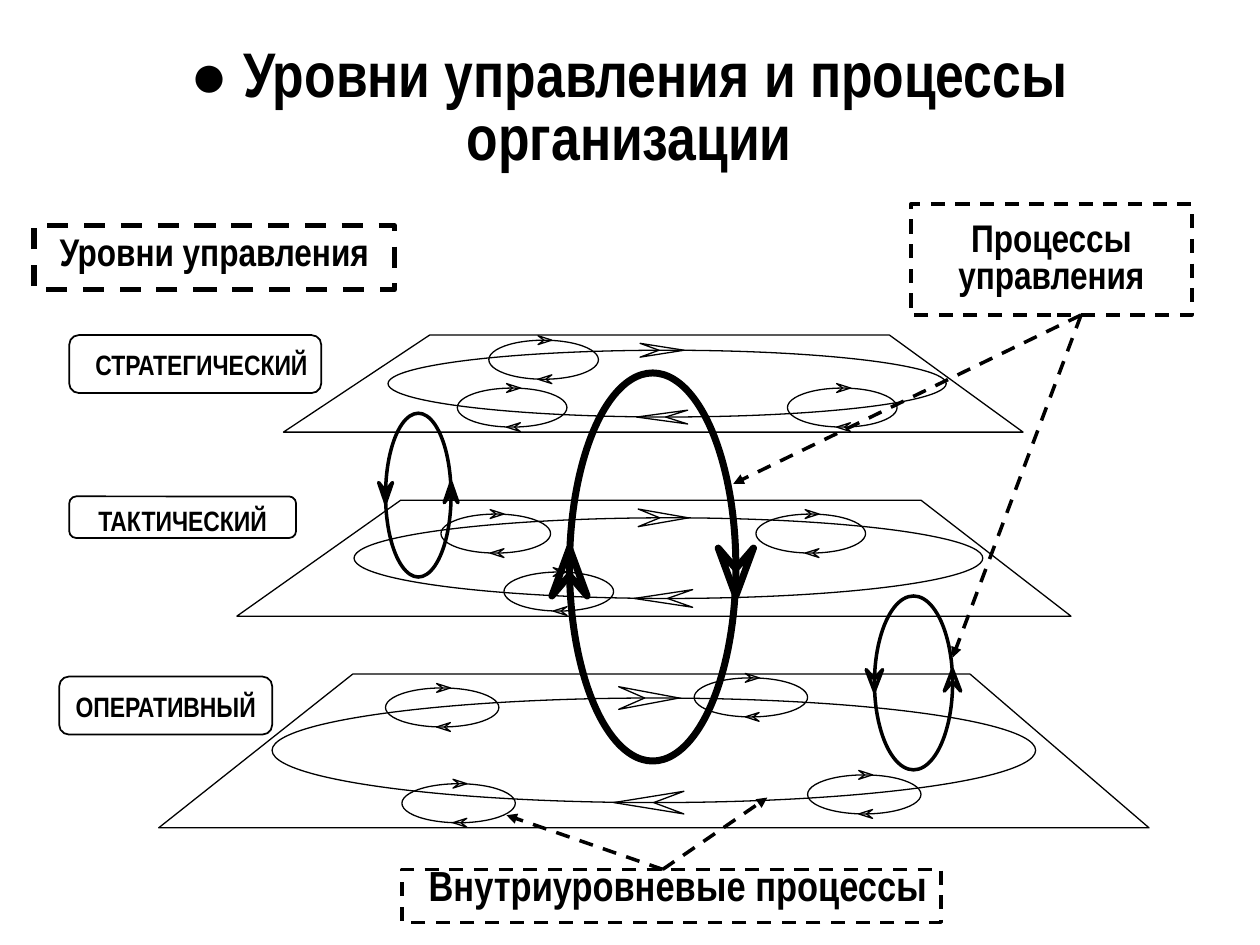
from dataclasses import dataclass
from typing import Optional

from lxml import etree
from pptx import Presentation
from pptx.dml.color import RGBColor
from pptx.enum.dml import MSO_LINE
from pptx.enum.shapes import MSO_CONNECTOR, MSO_SHAPE
from pptx.enum.text import MSO_ANCHOR, PP_ALIGN
from pptx.oxml.ns import qn
from pptx.util import Cm, Pt

BLACK = RGBColor(0, 0, 0)
WHITE = RGBColor(255, 255, 255)
RECT, ROUND, OVAL = MSO_SHAPE.RECTANGLE, MSO_SHAPE.ROUNDED_RECTANGLE, MSO_SHAPE.OVAL
TOP, MIDDLE = MSO_ANCHOR.TOP, MSO_ANCHOR.MIDDLE
CENTER = PP_ALIGN.CENTER
DASH = MSO_LINE.DASH
STRAIGHT = MSO_CONNECTOR.STRAIGHT
THIN = 0.75


def inch(value: float) -> Cm:
    return Cm(value * 2.54)


@dataclass
class Label:
    text: str
    at: tuple
    size: int
    gap: object  # line spacing: a share or points
    kind: Optional[int] = ROUND
    weight: float = 1
    hang: float = 0.5
    indent: float = -0.5
    anchor: int = MIDDLE
    inset: tuple = (0.03, 0.03)


@dataclass
class Ring:
    """An ellipse with two arrowheads of the given length and width."""
    at: tuple
    length: float
    width: float
    weight: float = THIN
    shift: float = 0.0  # from the ellipse centre, along the heads
    stretch: float = 1.0  # second head relative to the first
    turn: int = 0  # 0: heads at top and bottom; 1 or -1: at the sides


@dataclass
class Level:
    plane: list
    ring: Ring
    small: tuple  # width and height of the small rings
    spots: list


LABELS = [
    Label("● Уровни управления и процессы организации", (0.27, 0.28, 9.45, 1.18),
          36, Pt(36), None, hang=0, indent=0, inset=(0.1, 0.05)),
    Label("Уровни управления", (0.27, 1.79, 2.86, 0.51), 22, 0.65, RECT, 3,
          inset=(0.1, 0.05)),
    Label("Процессы управления", (7.23, 1.62, 2.23, 0.88), 22, 0.8, RECT, 2,
          hang=0, indent=0),
    Label("СТРАТЕГИЧЕСКИЙ", (0.55, 2.66, 2, 0.46), 16, 1.04, indent=-0.4),
    Label("ТАКТИЧЕСКИЙ", (0.55, 3.94, 1.8, 0.33), 16, 1.04, anchor=TOP),
    Label("ОПЕРАТИВНЫЙ", (0.47, 5.37, 1.69, 0.46), 16, 1.04),
    Label("Внутриуровневые процессы", (3.19, 6.9, 4.28, 0.42), 24, 0.7, RECT, 2,
          indent=-0.4, anchor=TOP),
]

LEVELS = [
    Level([(1.26, 6.57), (9.12, 6.57), (7.7, 5.35), (2.8, 5.35)],
          Ring((2.16, 5.54, 6.06, 0.83), 0.48, 0.18, shift=-0.04, stretch=1.16),
          (0.9, 0.31), [(3.19, 6.22), (3.06, 5.46), (5.51, 5.38), (6.41, 6.15)]),
    Level([(1.88, 4.89), (8.5, 4.89), (7.31, 3.97), (3.18, 3.97)],
          Ring((2.81, 4.11, 4.99, 0.64), 0.4, 0.14, shift=-0.04, stretch=1.16),
          (0.87, 0.31), [(3.5, 4.08), (4, 4.54), (6, 4.08)]),
    Level([(2.25, 3.43), (8.12, 3.43), (7.06, 2.66), (3.41, 2.66)],
          Ring((3.08, 2.78, 4.43, 0.53), 0.35, 0.11, shift=-0.04, stretch=1.16),
          (0.87, 0.31), [(3.88, 2.7), (6.25, 3.08), (3.63, 3.08)]),
]

LINKS = [
    Ring((6.94, 4.73, 0.62, 1.38), 0.17, 0.13, 2, -0.02, turn=1),
    Ring((3.06, 3.28, 0.52, 1.3), 0.16, 0.11, 2, -0.02, turn=1),
    Ring((4.52, 2.96, 1.32, 3.08), 0.38, 0.28, 4, 0.04, turn=-1),
]

PROCESS, INNER = (8.58, 2.5), (5.26, 6.9)
POINTERS = [(PROCESS, (5.82, 3.84)), (PROCESS, (7.56, 5.22)),
            (INNER, (4.02, 6.47)), (INNER, (6.09, 6.33))]


def ink(shape, weight: float) -> None:
    shape.shadow.inherit = False
    shape.fill.background()
    shape.line.color.rgb = BLACK
    shape.line.width = Pt(weight)


def outline(shapes, points: list, weight: float) -> None:
    spots = [(inch(x), inch(y)) for x, y in points]
    form = shapes.build_freeform(*spots[0])
    form.add_line_segments(spots[1:], close=True)
    ink(form.convert_to_shape(), weight)


def head(shapes, x: float, y: float, way: tuple, length: float, width: float,
         weight: float) -> None:
    """Draw a notched arrowhead centred on x, y and pointing along way."""
    dx, dy = way
    notch = -0.07 * length
    ends = [(-length / 2, width / 2), (notch, 0), (-length / 2, -width / 2), (length / 2, 0)]
    outline(shapes, [(x + a * dx - b * dy, y + a * dy + b * dx) for a, b in ends], weight)


def draw_ring(shapes, ring: Ring) -> None:
    x, y, w, h = ring.at
    ink(shapes.add_shape(OVAL, *map(inch, ring.at)), ring.weight)
    if ring.turn:
        mid = y + h / 2 + ring.shift
        heads = [(x, mid, (0, ring.turn)), (x + w, mid, (0, -ring.turn))]
    else:
        mid = x + w / 2 + ring.shift
        heads = [(mid, y, (1, 0)), (mid, y + h, (-1, 0))]
    for spot, scale in zip(heads, (1, ring.stretch)):
        head(shapes, *spot, ring.length * scale, ring.width, ring.weight)


def draw_level(shapes, level: Level) -> None:
    outline(shapes, level.plane, THIN)
    draw_ring(shapes, level.ring)
    for spot in level.spots:
        draw_ring(shapes, Ring(spot + level.small, 0.11, 0.07, shift=0.01))


def draw_label(shapes, label: Label) -> None:
    place = [inch(v) for v in label.at]
    if label.kind is None:
        shape = shapes.add_textbox(*place)
    else:
        shape = shapes.add_shape(label.kind, *place)
        ink(shape, label.weight)
        if label.kind == RECT:
            shape.line.dash_style = DASH
    frame = shape.text_frame
    side, edge = map(inch, label.inset)
    para = frame.paragraphs[0]
    para.text = label.text
    props = para._p.get_or_add_pPr()
    props.set("marL", str(inch(label.hang)))
    props.set("indent", str(inch(label.indent)))
    formats = [
        (frame, {"word_wrap": True, "vertical_anchor": label.anchor,
                 "margin_left": side, "margin_right": side,
                 "margin_top": edge, "margin_bottom": edge}),
        (para, {"alignment": CENTER, "line_spacing": label.gap}),
        (para.runs[0].font, {"name": "Arial Narrow", "size": Pt(label.size), "bold": True}),
    ]
    for target, values in formats:
        for name, value in values.items():
            setattr(target, name, value)
    para.runs[0].font.color.rgb = BLACK


def draw_pointer(shapes, start: tuple, end: tuple) -> None:
    link = shapes.add_connector(STRAIGHT, *map(inch, start + end))
    link.line.color.rgb = BLACK
    link.line.width = Pt(2)
    link.line.dash_style = DASH
    etree.SubElement(link.line._get_or_add_ln(), qn("a:tailEnd"), type="triangle")
    etree.SubElement(link._element.spPr, qn("a:effectLst"))


def main() -> None:
    deck = Presentation()
    deck.slide_width, deck.slide_height = inch(10), inch(7.5)
    slide = deck.slides.add_slide(deck.slide_layouts[6])
    slide.background.fill.solid()
    slide.background.fill.fore_color.rgb = WHITE
    shapes = slide.shapes
    for label in LABELS:
        draw_label(shapes, label)
    for level in LEVELS:
        draw_level(shapes, level)
    for ring in LINKS:
        draw_ring(shapes, ring)
    for start, end in POINTERS:
        draw_pointer(shapes, start, end)
    deck.save("out.pptx")


if __name__ == "__main__":
    main()
